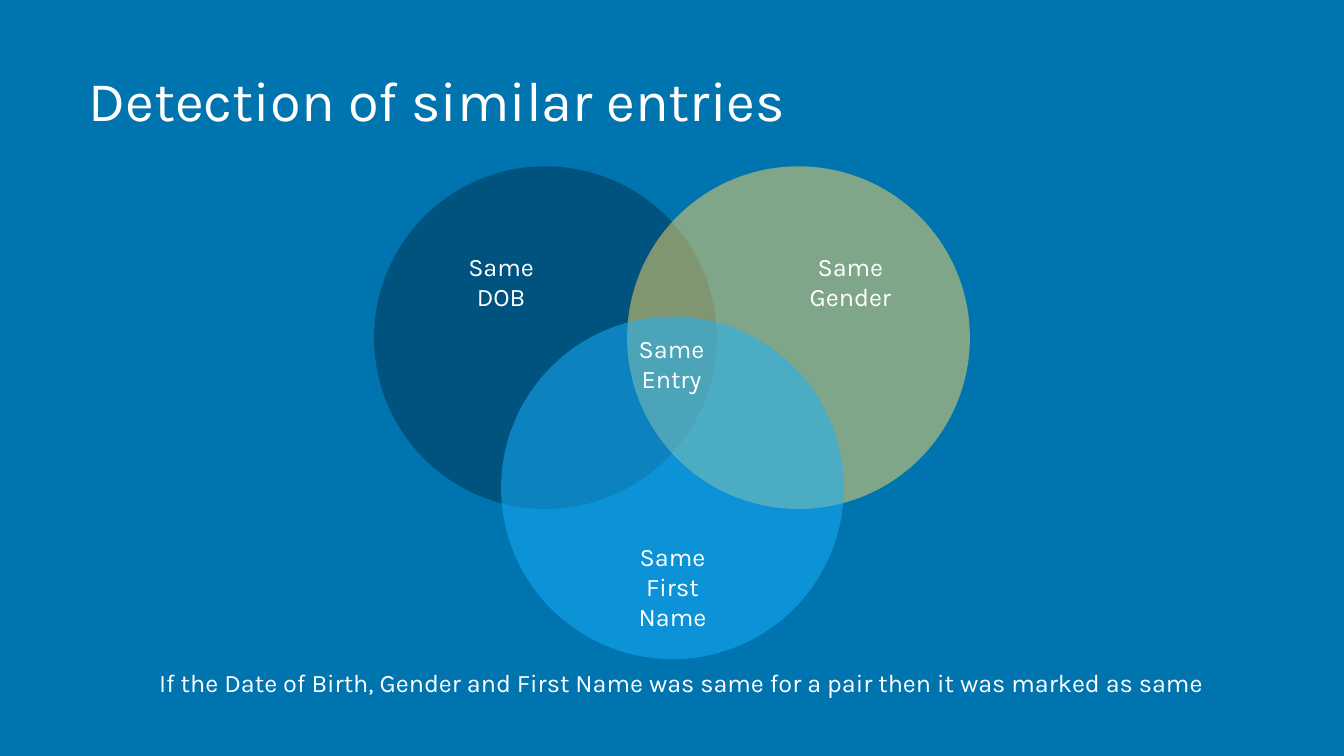
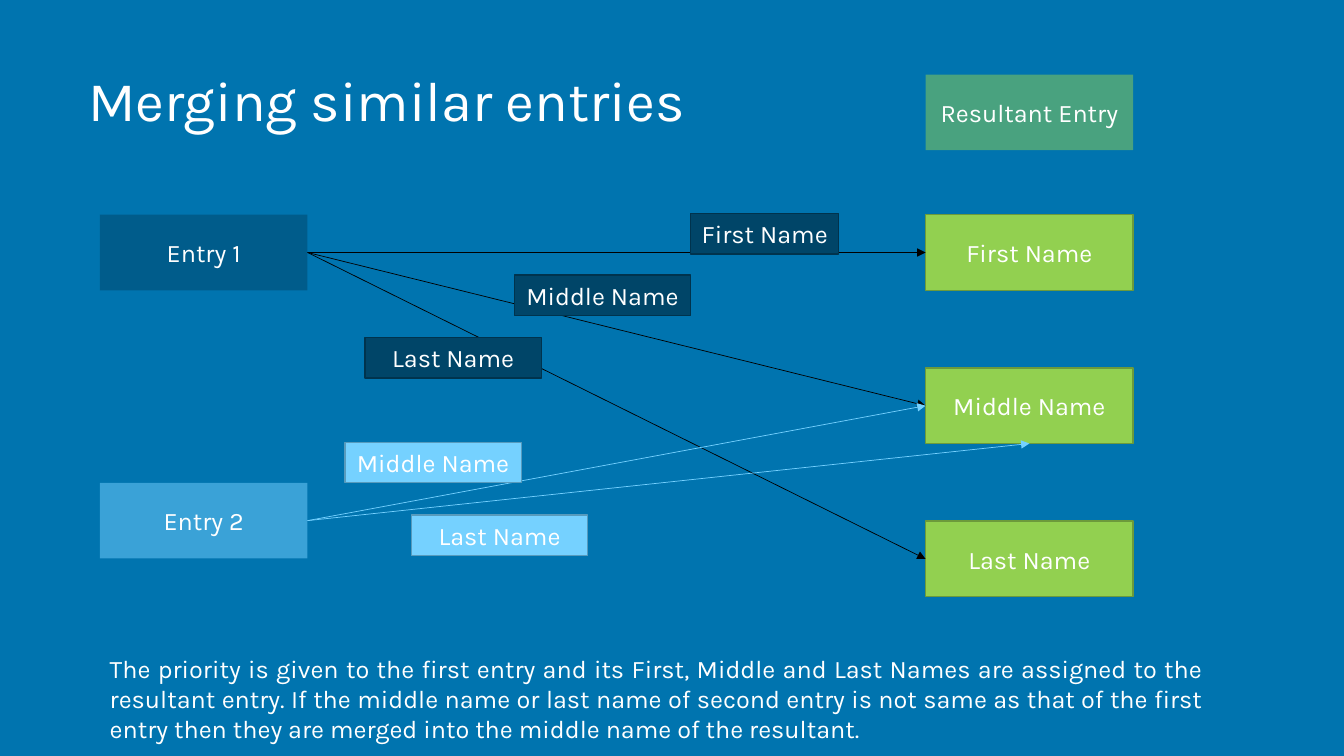
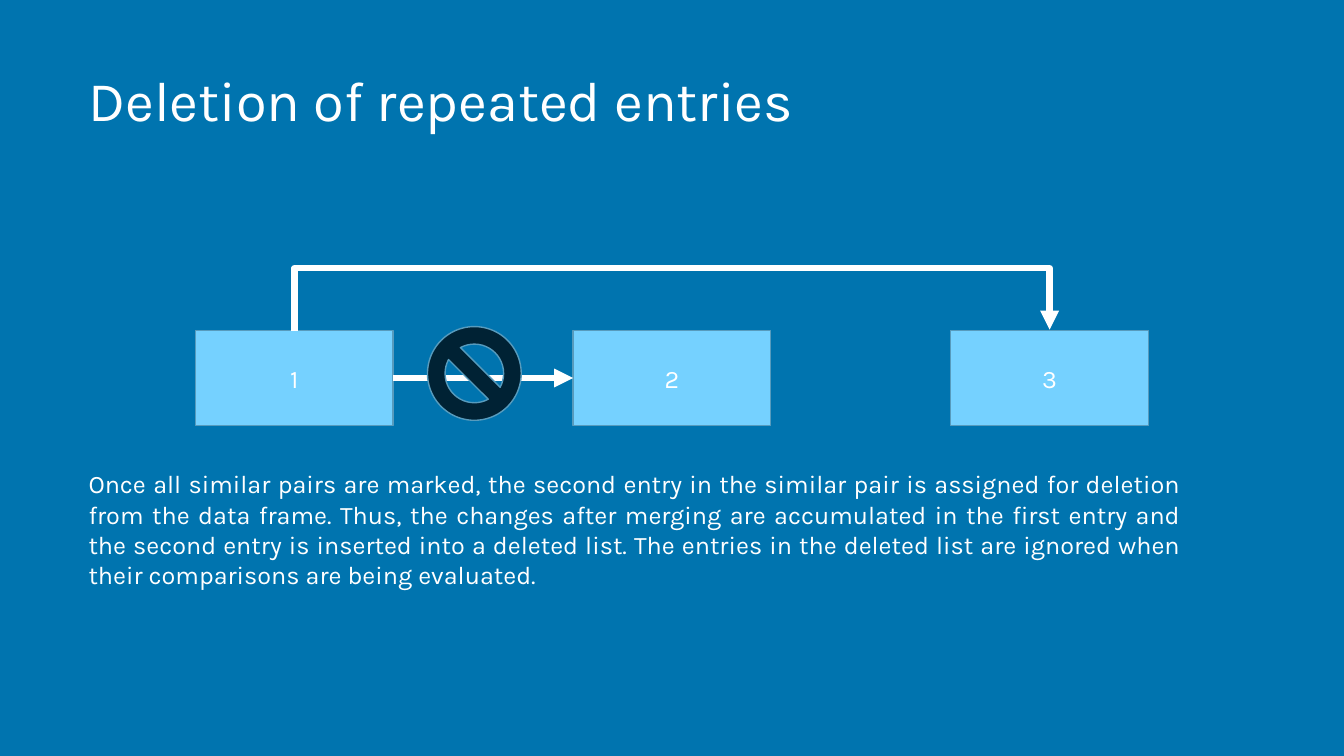
import pptx
import pptx.util
import pptx.dml.color
import pptx.enum.shapes
import pptx.enum.text
import pptx.oxml
import pptx.oxml.ns
from lxml import etree

RGB = pptx.dml.color.RGBColor
SHAPE = pptx.enum.shapes.MSO_SHAPE
LINK = pptx.enum.shapes.MSO_CONNECTOR
ALIGN = pptx.enum.text.PP_ALIGN
ANCHOR = pptx.enum.text.MSO_ANCHOR
Pt = pptx.util.Pt
qn = pptx.oxml.ns.qn

BLUE = RGB(0x00, 0x74, 0xAF)
WHITE = RGB(0xFF, 0xFF, 0xFF)
BLACK = RGB(0x00, 0x00, 0x00)
DEEP = RGB(0x00, 0x34, 0x4E)
YELLOW = RGB(0xFF, 0xD9, 0x66)
BRIGHT = RGB(0x18, 0xB2, 0xFF)
NAVY = RGB(0x00, 0x45, 0x68)
NAVY_EDGE = RGB(0x00, 0x33, 0x4D)
SKY = RGB(0x75, 0xD1, 0xFF)
SKY_EDGE = RGB(0x57, 0x9B, 0xBD)
GREEN = RGB(0x92, 0xD0, 0x50)
GREEN_EDGE = RGB(0x6C, 0x9A, 0x3B)
INK = RGB(0x00, 0x22, 0x34)
FONT = "Karla"
ROWS = 75

TITLES = ["Detection of similar entries", "Merging similar entries", "Deletion of repeated entries"]

CIRCLE = 34
CIRCLES = [(37.1, 16.5, DEEP), (62.2, 16.5, YELLOW), (49.7, 31.4, BRIGHT)]
VENN_LABELS = [
    ("Same\nDOB", 45.3, 24.4, 8.8, 7.1),
    ("Same\nGender", 79.2, 24.4, 10.3, 7.1),
    ("Same\nFirst\nName", 62.3, 53.2, 8.8, 10.1),
    ("Same\nEntry", 62.2, 32.6, 8.8, 7.1),
]
VENN_NOTE = "If the Date of Birth, Gender and First Name was same for a pair then it was marked as same"

BOX = (20.6, 7.5)
ENTRY_X, RESULT_X = 9.9, 91.8
RESULT_TOP, RESULT_STEP = 21.3, 15.2
ENTRIES = [("Entry 1", 21.3, NAVY), ("Entry 2", 47.9, SKY)]
RESULTS = ["First Name", "Middle Name", "Last Name"]
MERGES = [(0, 0, 1, BLACK), (0, 1, 1, BLACK), (0, 2, 1, BLACK), (1, 1, 1, SKY), (1, 1, 2, SKY)]
MERGE_LABELS = [
    ("First Name", 68.5, 21.2, 14.7, NAVY, NAVY_EDGE),
    ("Middle Name", 51, 27.3, 17.5, NAVY, NAVY_EDGE),
    ("Last Name", 36.2, 33.5, 17.5, NAVY, NAVY_EDGE),
    ("Middle Name", 34.2, 43.9, 17.5, SKY, SKY_EDGE),
    ("Last Name", 40.8, 51.1, 17.5, SKY, SKY_EDGE),
]
MERGE_NOTE = (
    "The priority is given to the first entry and its First, Middle and Last Names are assigned "
    "to the resultant entry. If the middle name or last name of second entry is not same as that "
    "of the first entry then they are merged into the middle name of the resultant."
)

RECORDS = ["1", "2", "3"]
RECORD_X, RECORD_Y, RECORD_STEP = 19.4, 32.8, 37.45
RECORD = (19.6, 9.4)
DETOUR_RISE = 6.3
DELETE_NOTE = (
    "Once all similar pairs are marked, the second entry in the similar pair is assigned for "
    "deletion from the data frame. Thus, the changes after merging are accumulated in the first "
    "entry and the second entry is inserted into a deleted list. The entries in the deleted list "
    "are ignored when their comparisons are being evaluated."
)

prs = pptx.Presentation()
prs.slide_width = pptx.util.Inches(13.33)
prs.slide_height = pptx.util.Inches(7.5)
background = prs.slide_master.background.fill
background.solid()
background.fore_color.rgb = BLUE


def cells(*counts):
    return [round(n * prs.slide_height / ROWS) for n in counts]


def write(tf, text, size=18, align=ALIGN.CENTER, wrap=True):
    tf.text = text
    tf.word_wrap = wrap
    for p in tf.paragraphs:
        p.alignment = align
        for r in p.runs:
            r.font.name = FONT
            r.font.size = Pt(size)
            r.font.color.rgb = WHITE


def add_text(s, text, x, y, w, h, **style):
    write(s.shapes.add_textbox(*cells(x, y, w, h)).text_frame, text, **style)


def add_block(s, kind, x, y, w, h, fill, edge=None, alpha=None, text="", anchor=ANCHOR.MIDDLE, wrap=True):
    sp = s.shapes.add_shape(kind, *cells(x, y, w, h))
    sp.shadow.inherit = False
    sp.fill.solid()
    sp.fill.fore_color.rgb = fill
    if alpha:
        color = sp.element.spPr.find(qn("a:solidFill"))[0]
        etree.SubElement(color, qn("a:alpha")).set("val", str(alpha * 1000))
    if edge is None:
        sp.line.fill.background()
    else:
        sp.line.color.rgb = edge
        sp.line.width = Pt(1)
    if text:
        write(sp.text_frame, text, wrap=wrap)
        sp.text_frame.vertical_anchor = anchor
    return sp


def add_arrow(s, start, start_side, end, end_side, color, width, kind=LINK.STRAIGHT):
    c = s.shapes.add_connector(kind, 0, 0, 0, 0)
    c.begin_connect(start, start_side)
    c.end_connect(end, end_side)
    c.line.color.rgb = color
    c.line.width = Pt(width)
    spPr = c.element.spPr
    etree.SubElement(spPr.find(qn("a:ln")), qn("a:tailEnd")).set("type", "triangle")
    etree.SubElement(spPr, qn("a:effectLst"))
    return c


def route_above(c, start, end, rise):
    depth, = cells(0.1)
    lift, = cells(rise)
    first = start.left + start.width // 2
    last = end.left + end.width // 2
    span = last - first
    c.left, c.top = (first + last - depth) // 2, start.top - (span + depth) // 2
    c.width, c.height = depth, span
    xfrm = c.element.spPr.find(qn("a:xfrm"))
    for name, value in (("rot", "5400000"), ("flipH", "1"), ("flipV", "1")):
        xfrm.set(name, value)
    geom = c.element.spPr.find(qn("a:prstGeom"))
    guides = geom.find(qn("a:avLst"))
    if guides is None:
        guides = etree.SubElement(geom, qn("a:avLst"))
    guide = etree.SubElement(guides, qn("a:gd"))
    guide.set("name", "adj1")
    guide.set("fmla", f"val {round(lift / depth * 100000)}")


def add_slide(title):
    s = prs.slides.add_slide(prs.slide_layouts[6])
    add_text(s, title, 7.8, 6, 94.3, 7.7, size=40, align=ALIGN.LEFT)
    return s


def build_detection(s):
    for x, y, color in CIRCLES:
        add_block(s, SHAPE.OVAL, x, y, CIRCLE, CIRCLE, color, alpha=50)
    for text, *place in VENN_LABELS:
        add_text(s, text, *place, wrap=False)
    add_text(s, VENN_NOTE, 14.8, 65.7, 110.4, 4, align=ALIGN.JUSTIFY)


def build_merging(s):
    entries = [add_block(s, SHAPE.RECTANGLE, ENTRY_X, y, *BOX, color, alpha=50, text=text)
               for text, y, color in ENTRIES]
    results = [add_block(s, SHAPE.RECTANGLE, RESULT_X, RESULT_TOP + i * RESULT_STEP, *BOX,
                         GREEN, GREEN_EDGE, text=text)
               for i, text in enumerate(RESULTS)]
    for entry, result, side, color in MERGES:
        add_arrow(s, entries[entry], 3, results[result], side, color, 0.5)
    for text, x, y, w, fill, edge in MERGE_LABELS:
        add_block(s, SHAPE.RECTANGLE, x, y, w, 4, fill, edge, text=text, anchor=ANCHOR.TOP, wrap=False)
    add_text(s, MERGE_NOTE, 9.9, 64.3, 110.4, 10.1, align=ALIGN.JUSTIFY)
    add_block(s, SHAPE.RECTANGLE, RESULT_X, 7.4, *BOX, GREEN, alpha=50, text="Resultant Entry")


def build_deletion(s):
    add_text(s, DELETE_NOTE, 7.8, 46, 110.3, 13.1, align=ALIGN.JUSTIFY)
    first, second, third = [
        add_block(s, SHAPE.RECTANGLE, RECORD_X + i * RECORD_STEP, RECORD_Y, *RECORD,
                  SKY, SKY_EDGE, text=text)
        for i, text in enumerate(RECORDS)]
    detour = add_arrow(s, first, 0, third, 0, WHITE, 4.5, LINK.ELBOW)
    route_above(detour, first, third, DETOUR_RISE)
    add_arrow(s, first, 3, second, 1, WHITE, 4.5)
    add_block(s, SHAPE.NO_SYMBOL, 42.4, 32.4, 9.3, 9.3, INK, SKY_EDGE)


def main():
    for title, build in zip(TITLES, (build_detection, build_merging, build_deletion)):
        build(add_slide(title))
    prs.save("out.pptx")


if __name__ == "__main__":
    main()
